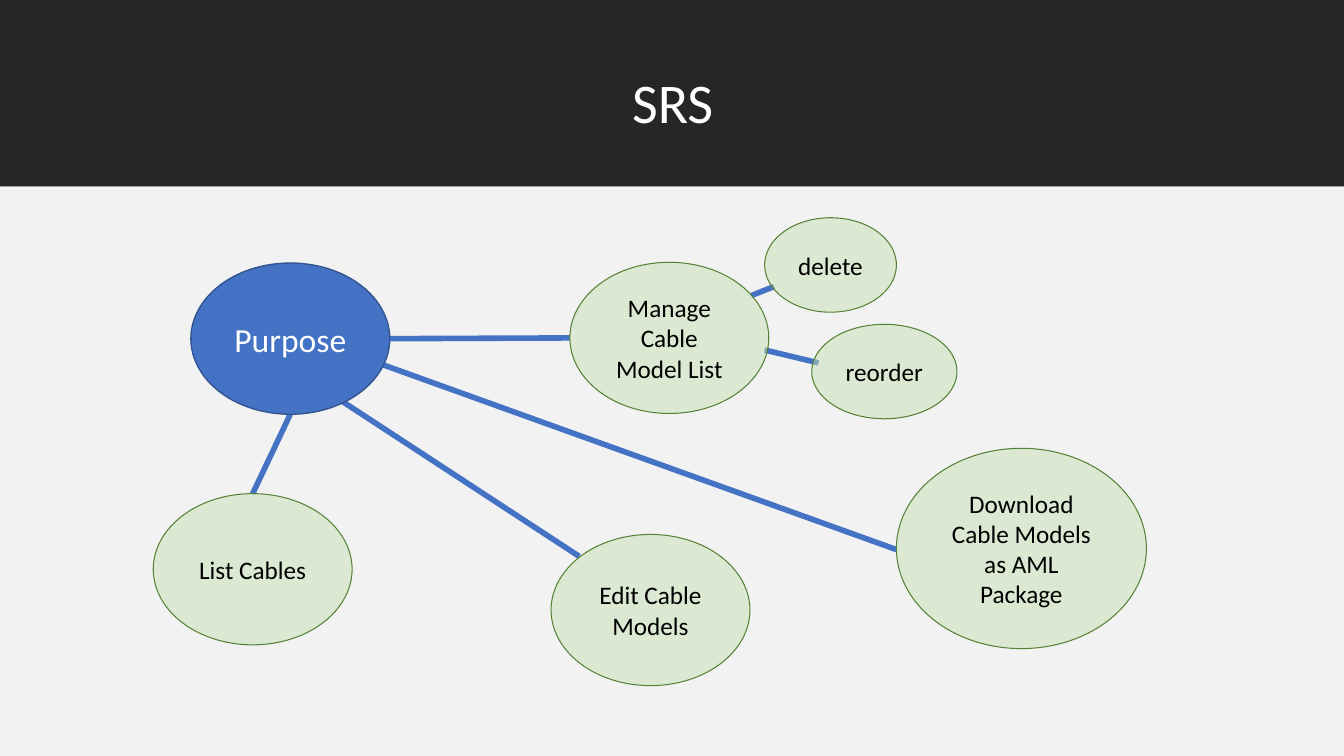
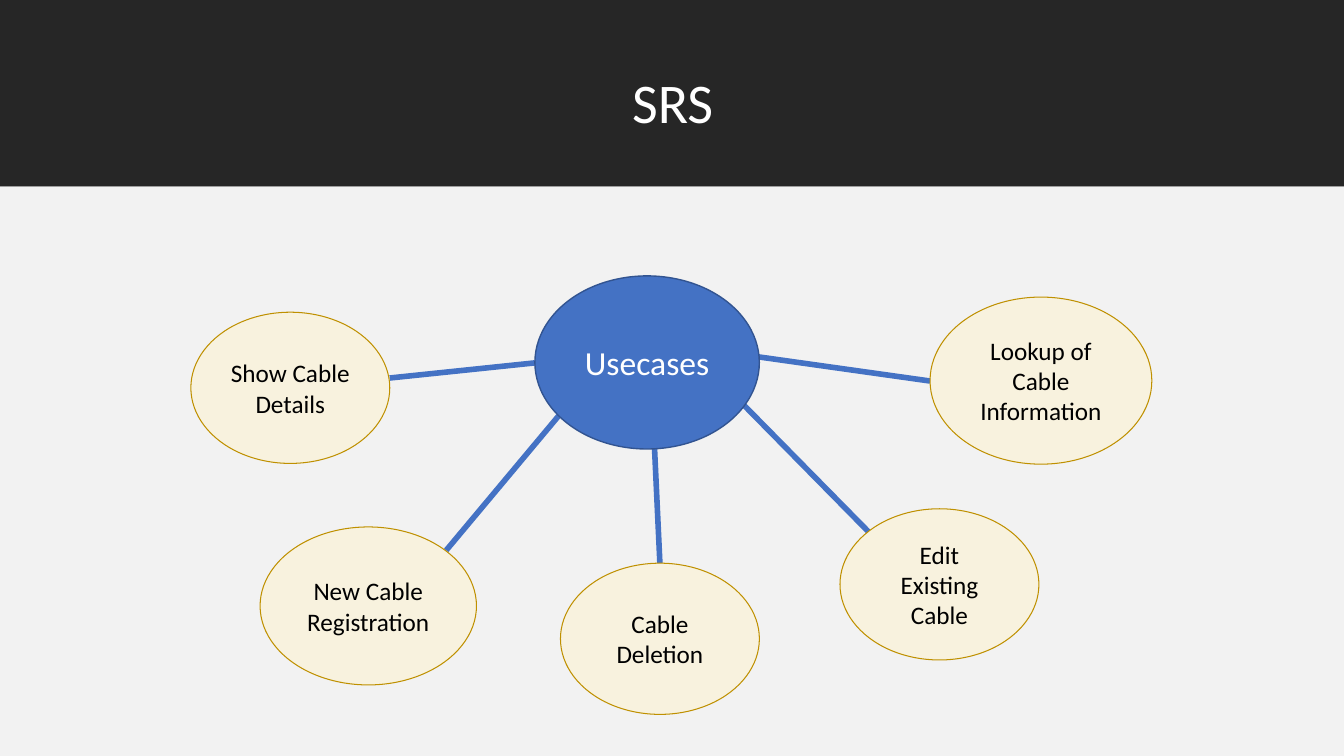
import lxml.etree
import pptx
import pptx.dml.color
import pptx.enum.shapes
import pptx.enum.text
import pptx.oxml.ns
import pptx.util

COLOURS = {
    "band": "262626", "body": "F2F2F2", "white": "FFFFFF", "black": "000000",
    "blue": "4472C4", "navy": "325491",
    "mint": "C5E0B4", "green": "548235",
    "cream": "FFF2CC", "gold": "BF9000",
}
HUB = {"fill": "blue", "edge": "navy", "weight": 1, "text": "white", "size": 24}
GREEN = {"fill": "mint", "edge": "green", "weight": 0.75, "text": "black", "size": 18, "alpha": 50}
YELLOW = GREEN | {"fill": "cream", "edge": "gold"}

# All lengths are percentages of the slide's width and height.
BAND_HEIGHT = 24.7
TITLE_FRAME = (9.5, 9.3, 81.1, 13.1)
BUBBLE = (14.8, 20)
OVAL = pptx.enum.shapes.MSO_SHAPE.OVAL
RECTANGLE = pptx.enum.shapes.MSO_SHAPE.RECTANGLE
CENTER = pptx.enum.text.PP_ALIGN.CENTER

# Each bubble: label, corner, size, link start, link end (None = top of the bubble).
MAPS = [
    {
        "title": "SRS",
        "hub": ("Purpose", (14.2, 34.8), BUBBLE),
        "style": GREEN,
        "bubbles": [
            ("List Cables", (11.4, 65.3), BUBBLE, (21.6, 54.8), None),
            ("Edit Cable Models", (41, 70.7), BUBBLE, (25.3, 52.9), (43.1, 73.6)),
            ("delete", (56.9, 28.8), (9.8, 12.5), (55.9, 39.1), (57.6, 37.9)),
            ("Download Cable Models as AML Package", (66.7, 59.3), (18.6, 26.5),
             (28.1, 48), (66.7, 72.7)),
            ("Manage Cable Model List", (42.4, 34.7), BUBBLE, (29, 44.8), (42.4, 44.7)),
            ("reorder", (60.4, 42.9), (10.8, 12.5), (56.9, 46.3), (60.9, 48)),
        ],
    },
    {
        "title": "SRS",
        "hub": ("Usecases", (39.8, 36.5), (16.7, 22.9)),
        "style": YELLOW,
        "bubbles": [
            ("Show Cable Details", (14.2, 41.3), BUBBLE, (39.8, 48), (29, 50)),
            ("New Cable Registration", (19.35, 69.7), (16.1, 20.9), (41.9, 54.3), (33.2, 72.8)),
            ("Cable Deletion", (41.7, 74.5), BUBBLE, (48.7, 59.2), None),
            ("Lookup of Cable Information", (69.2, 39.3), (16.5, 22.1), (56.4, 47.2), (69.2, 50.4)),
            ("Edit Existing Cable", (62.5, 67.3), BUBBLE, (55.3, 53.5), (64.6, 70.3)),
        ],
    },
]

deck = pptx.Presentation()
deck.slide_width = pptx.util.Inches(13.33)
deck.slide_height = pptx.util.Inches(7.5)
TITLE_ONLY = deck.slide_layouts[5]


def emu(*shares):
    """Turn alternating x and y percentages into slide lengths."""
    sides = (deck.slide_width, deck.slide_height)
    return [round(share * sides[i % 2] / 100) for i, share in enumerate(shares)]


def add_block(page, kind, frame, style, label=""):
    shape = page.shapes.add_shape(kind, *emu(*frame))
    shape.shadow.inherit = False
    shape.fill.solid()
    shape.fill.fore_color.rgb = pptx.dml.color.RGBColor.from_string(COLOURS[style["fill"]])
    if "alpha" in style:
        colour = shape.fill._xPr.find(".//" + pptx.oxml.ns.qn("a:srgbClr"))
        alpha = lxml.etree.SubElement(colour, pptx.oxml.ns.qn("a:alpha"))
        alpha.set("val", str(style["alpha"] * 1000))
    if "edge" in style:
        shape.line.color.rgb = pptx.dml.color.RGBColor.from_string(COLOURS[style["edge"]])
        shape.line.width = pptx.util.Pt(style["weight"])
    else:
        shape.line.fill.background()
    if label:
        box = shape.text_frame
        box.word_wrap = True
        box.vertical_anchor = pptx.enum.text.MSO_ANCHOR.MIDDLE
        para = box.paragraphs[0]
        para.alignment = CENTER
        span = para.add_run()
        span.text = label
        span.font.name = "Calibri"
        span.font.size = pptx.util.Pt(style["size"])
        span.font.color.rgb = pptx.dml.color.RGBColor.from_string(COLOURS[style["text"]])
    return shape


for chart in MAPS:
    page = deck.slides.add_slide(TITLE_ONLY)

    title = page.shapes.title
    for side, length in zip(("left", "top", "width", "height"), emu(*TITLE_FRAME)):
        setattr(title, side, length)
    title.text_frame.text = chart["title"]
    title.text_frame.vertical_anchor = pptx.enum.text.MSO_ANCHOR.TOP
    para = title.text_frame.paragraphs[0]
    for name, value in {"alignment": CENTER, "line_spacing": 0.9}.items():
        setattr(para, name, value)
    for name, value in {"name": "Calibri", "size": pptx.util.Pt(40)}.items():
        setattr(para.runs[0].font, name, value)
    para.runs[0].font.color.rgb = pptx.dml.color.RGBColor.from_string(COLOURS["white"])

    for top, height, fill in ((0, BAND_HEIGHT, "band"), (BAND_HEIGHT, 100 - BAND_HEIGHT, "body")):
        panel = add_block(page, RECTANGLE, (0, top, 100, height), {"fill": fill})
        title.element.addprevious(panel.element)

    # Links go in before the bubbles so that they lie behind them.
    links = []
    for label, corner, size, start, end in chart["bubbles"]:
        end = end or (corner[0] + size[0] / 2, corner[1])
        link = page.shapes.add_connector(
            pptx.enum.shapes.MSO_CONNECTOR.STRAIGHT, *emu(*start, *end))
        link.line.color.rgb = pptx.dml.color.RGBColor.from_string(COLOURS["blue"])
        link.line.width = pptx.util.Pt(4)
        lxml.etree.SubElement(link.element.spPr, pptx.oxml.ns.qn("a:effectLst"))
        links.append(link)

    label, corner, size = chart["hub"]
    add_block(page, OVAL, corner + size, HUB, label)
    for link, (label, corner, size, start, end) in zip(links, chart["bubbles"]):
        bubble = add_block(page, OVAL, corner + size, chart["style"], label)
        if end is None:
            link.end_connect(bubble, 0)

deck.save("out.pptx")
